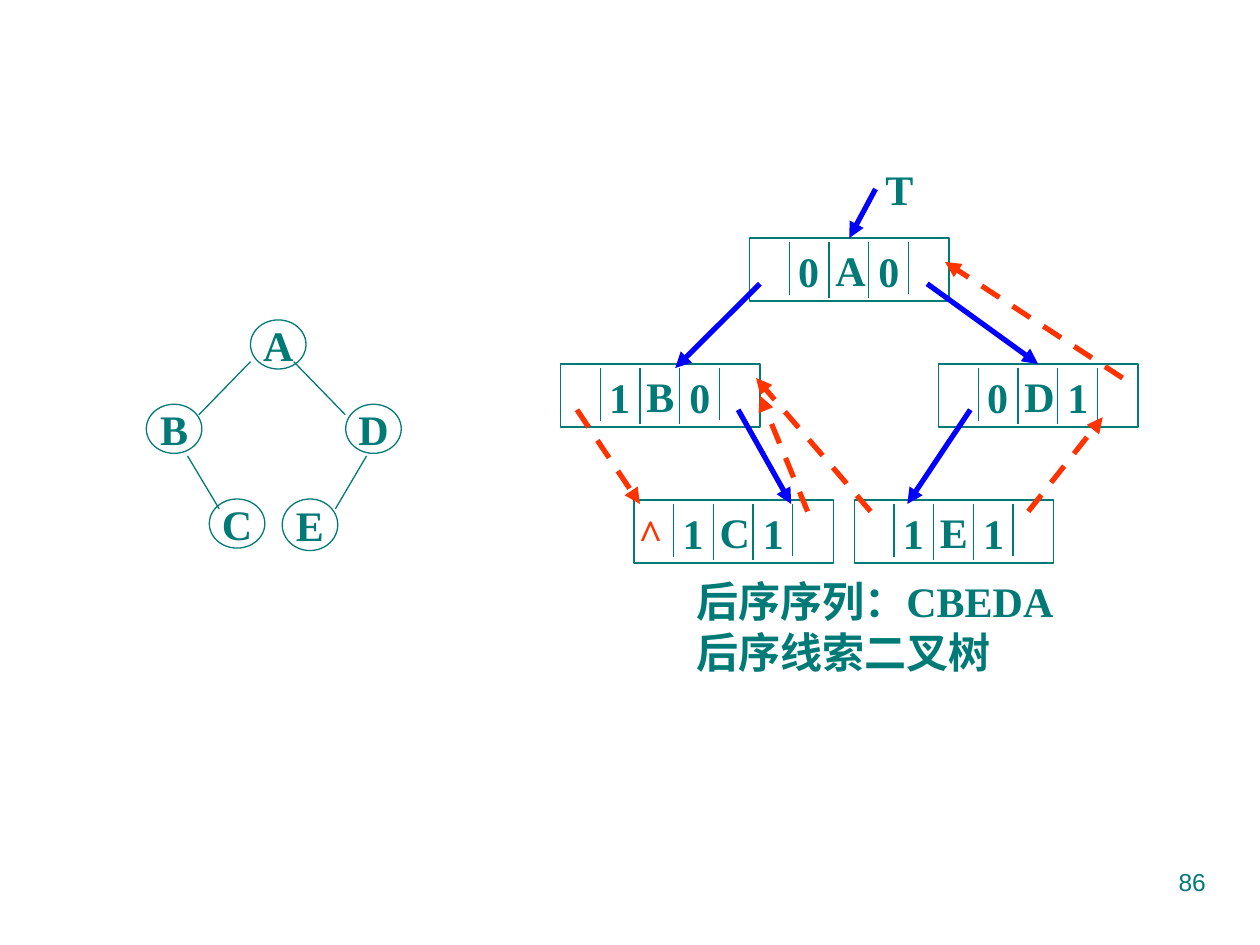
"""Build a slide showing a binary tree and its postorder threaded linked form."""
from lxml import etree
from pptx import Presentation
from pptx import util as u
from pptx.dml.color import RGBColor
from pptx.enum import dml, shapes, text
from pptx.oxml.ns import qn

TEAL, BLUE, RED = "007A77", "0000FF", "FF3300"
LEFT, CENTER, RIGHT = text.PP_ALIGN.LEFT, text.PP_ALIGN.CENTER, text.PP_ALIGN.RIGHT


def draw_line(start, end, color=TEAL, width=0.75, arrow=False, dashed=False):
    """Draw a straight line between two points given in centimetres."""
    points = [u.Cm(value) for value in (*start, *end)]
    line = slide.shapes.add_connector(shapes.MSO_CONNECTOR.STRAIGHT, *points)
    line.line.color.rgb = RGBColor.from_string(color)
    line.line.width = u.Pt(width)
    if dashed:
        line.line.dash_style = dml.MSO_LINE.DASH
    properties = line._element.spPr
    if arrow:
        outline = properties.find(qn("a:ln"))
        etree.SubElement(outline, qn("a:tailEnd")).set("type", "triangle")
    etree.SubElement(properties, qn("a:effectLst"))
    return line


def write(shape, content, align=CENTER, middle=True, wrap=False, color=TEAL,
          size=24, font="Times New Roman", bold=True):
    """Fill a shape with uniformly formatted text."""
    frame = shape.text_frame
    frame.text = content
    frame.word_wrap = wrap
    frame.vertical_anchor = text.MSO_ANCHOR.MIDDLE if middle else text.MSO_ANCHOR.TOP
    for paragraph in frame.paragraphs:
        paragraph.alignment = align
        for run in paragraph.runs:
            run.font.name = font
            run.font.size = u.Pt(size)
            run.font.bold = bold
            run.font.color.rgb = RGBColor.from_string(color)


presentation = Presentation()
presentation.slide_width = u.Cm(25.4)
presentation.slide_height = u.Cm(19.05)
slide = presentation.slides.add_slide(presentation.slide_layouts[6])

tree_nodes = [("A", 5.05, 6.45, 0.99), ("B", 2.95, 8.15, 0.99), ("C", 4.22, 10.06, 0.99),
              ("D", 6.97, 8.15, 0.99), ("E", 5.69, 10.06, 1.04)]
for name, left, top, height in tree_nodes:
    circle = slide.shapes.add_shape(shapes.MSO_SHAPE.OVAL, u.Cm(left), u.Cm(top),
                                    u.Cm(1.12), u.Cm(height))
    circle.shadow.inherit = False
    circle.fill.background()
    circle.line.color.rgb = RGBColor.from_string(TEAL)
    circle.line.width = u.Pt(0.75)
    write(circle, name)

tree_edges = [((5.05, 7.29), (4.01, 8.36)), ((5.92, 7.29), (6.96, 8.36)),
              ((3.78, 9.19), (4.42, 10.26)), ((7.39, 9.19), (6.76, 10.26))]
for start, end in tree_edges:
    draw_line(start, end)

records = {}
linked_nodes = [("A", 15.11, 4.8, "0", "0"), ("B", 11.3, 7.34, "1", "0"),
                ("D", 18.92, 7.34, "0", "1"), ("C", 12.78, 10.08, "1", "1"),
                ("E", 17.22, 10.08, "1", "1")]
for name, left, top, left_tag, right_tag in linked_nodes:
    record = slide.shapes.add_shape(shapes.MSO_SHAPE.RECTANGLE, u.Cm(left), u.Cm(top),
                                    u.Cm(4.02), u.Cm(1.27))
    record.shadow.inherit = False
    record.fill.background()
    record.line.color.rgb = RGBColor.from_string(TEAL)
    record.line.width = u.Pt(0.75)
    record.text_frame.margin_left = u.Cm(1.73)
    write(record, name, align=LEFT, wrap=True)
    records[name] = record
    for column, length in enumerate((1.06, 1.12, 1.12, 1.04), start=1):
        x = left + 0.8 * column
        draw_line((x, top + 0.08), (x, top + 0.08 + length))
    for tag, offset in ((left_tag, 0.73), (right_tag, 2.35)):
        tag_box = slide.shapes.add_textbox(u.Cm(left + offset), u.Cm(top + 0.02),
                                           u.Cm(0.91), u.Cm(1.27))
        write(tag_box, tag)

null_box = slide.shapes.add_textbox(u.Cm(12.62), u.Cm(10.11), u.Cm(0.99), u.Cm(1.27))
write(null_box, "^", color=RED)

child_links = [((17.65, 3.81), (17.22, 4.88), ("A", 0)),
               ((15.32, 5.72), (13.61, 7.42), None),
               ((18.69, 5.72), (21.03, 7.42), ("D", 0)),
               ((14.88, 8.26), (15.95, 10.16), None),
               ((19.56, 8.26), (18.29, 10.16), None)]
threads = [((11.63, 8.26), (12.9, 10.16), None),
           ((16.28, 10.31), (15.24, 8.03), ("B", 3)),
           ((17.55, 10.31), (15.24, 7.62), None),
           ((20.73, 10.31), (22.23, 8.41), None),
           ((22.63, 7.62), (19.05, 5.28), None)]
for links, color, dashed in ((child_links, BLUE, False), (threads, RED, True)):
    for start, end, target in links:
        link = draw_line(start, end, color, 3, arrow=True, dashed=dashed)
        if target:
            name, side = target
            link.end_connect(records[name], side)

root_label = slide.shapes.add_textbox(u.Cm(17.6), u.Cm(3.18), u.Cm(1.07), u.Cm(1.27))
write(root_label, "T", align=LEFT, middle=False)

caption = slide.shapes.add_textbox(u.Cm(13.79), u.Cm(11.48), u.Cm(7.9), u.Cm(2.29))
write(caption, "后序序列：CBEDA\n后序线索二叉树", align=LEFT, middle=False)

page_number = slide.shapes.add_textbox(u.Cm(18.21), u.Cm(17.35), u.Cm(6.35), u.Cm(1.32))
write(page_number, "86", align=RIGHT, middle=False, wrap=True, size=14,
      font="Arial", bold=False)

presentation.save("out.pptx")
